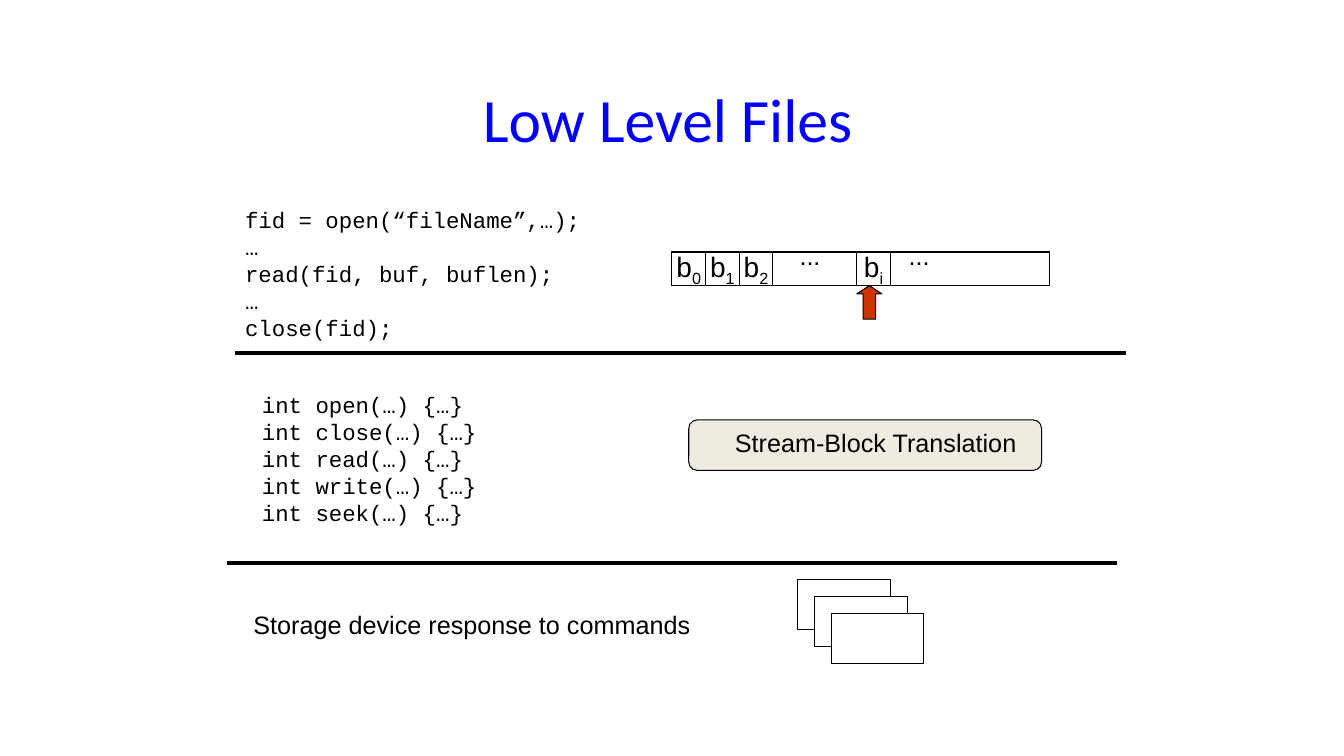
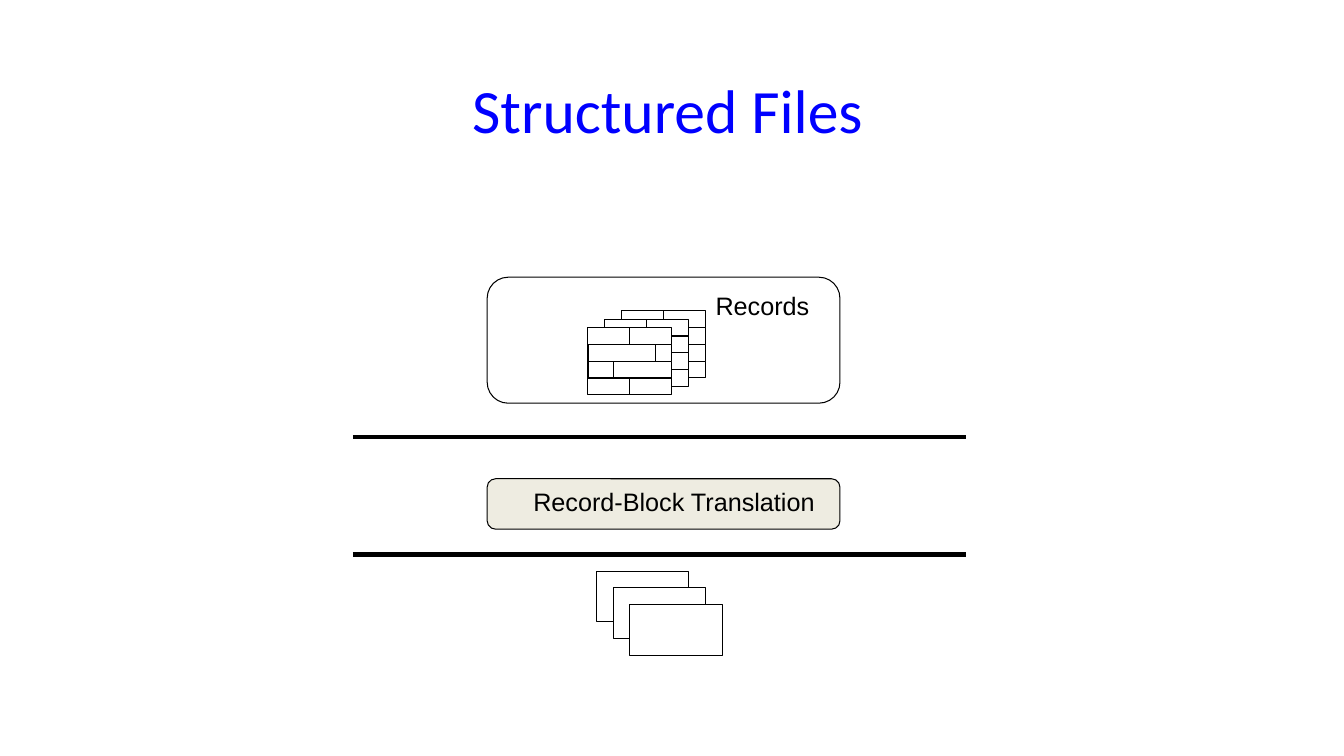
from dataclasses import dataclass

import pptx
import pptx.dml.color
import pptx.enum.shapes
import pptx.enum.text
import pptx.oxml
import pptx.util

Pt = pptx.util.Pt
SHAPE = pptx.enum.shapes.MSO_SHAPE
ALIGN = pptx.enum.text.PP_ALIGN
ANCHOR = pptx.enum.text.MSO_ANCHOR
AUTO = pptx.enum.text.MSO_AUTO_SIZE


@dataclass(frozen=True)
class Theme:
    title: str = "0000FF"
    ink: str = "000000"
    paper: str = "FFFFFF"
    layer: str = "EEECE1"
    marker: str = "CC3300"
    title_font: str = "Calibri"
    body_font: str = "Arial"
    code_font: str = "Courier New"
    title_size: int = 44
    cell_size: int = 20
    body_size: int = 18
    code_size: int = 16
    outline: float = 0.75
    divider: float = 3


THEME = Theme()
CELL = 24           # side of one byte cell
STEP = 12           # shift between stacked blocks
ROW = 12            # height of one record row
RECORD_WIDTH = 60
RECORD_SPLITS = (30, 48, 18, 30)


def rgb(value):
    return pptx.dml.color.RGBColor.from_string(value)


def write(s, text, sub="", font=THEME.body_font, size=THEME.body_size,
          color=THEME.ink, align=ALIGN.LEFT, anchor=ANCHOR.TOP, wrap=False):
    """Fill a shape with one paragraph per line, and an optional subscript."""
    tf = s.text_frame
    tf.word_wrap = wrap
    tf.vertical_anchor = anchor
    for i, line in enumerate(text.split("\n")):
        p = tf.paragraphs[0] if i == 0 else tf.add_paragraph()
        p.alignment = align
        for part, offset in ((line, None), (sub, "-25000")):
            if not part:
                continue
            r = p.add_run()
            r.text = part
            r.font.name = font
            r.font.size = Pt(size)
            r.font.color.rgb = rgb(color)
            if offset:
                r.font._element.set("baseline", offset)


def add_text(slide, x, y, w, h, text, **fmt):
    s = slide.shapes.add_textbox(Pt(x), Pt(y), Pt(w), Pt(h))
    write(s, text, **fmt)
    if not fmt.get("wrap"):
        s.text_frame.auto_size = AUTO.SHAPE_TO_FIT_TEXT
    return s


def add_box(parent, x, y, w, h, kind=SHAPE.RECTANGLE, fill=THEME.paper):
    """Add an outlined shape to a slide or a group."""
    s = parent.shapes.add_shape(kind, Pt(x), Pt(y), Pt(w), Pt(h))
    s.shadow.inherit = False
    s.fill.solid()
    s.fill.fore_color.rgb = rgb(fill)
    s.line.color.rgb = rgb(THEME.ink)
    s.line.width = Pt(THEME.outline)
    return s


def add_title(slide, text, h):
    add_text(slide, 174, 36, 606, h, text, font=THEME.title_font,
             size=THEME.title_size, color=THEME.title, align=ALIGN.CENTER,
             anchor=ANCHOR.MIDDLE, wrap=True)


def add_code(slide, x, y, w, h, text):
    add_text(slide, x, y, w, h, text, font=THEME.code_font,
             size=THEME.code_size)


def add_divider(slide, x, y, w):
    line = slide.shapes.add_connector(
        pptx.enum.shapes.MSO_CONNECTOR.STRAIGHT, Pt(x), Pt(y), Pt(x + w), Pt(y))
    line.line.color.rgb = rgb(THEME.ink)
    line.line.width = Pt(THEME.divider)
    line._element.spPr.append(pptx.oxml.parse_xml(
        '<a:effectLst xmlns:a='
        '"http://schemas.openxmlformats.org/drawingml/2006/main"/>'))


def add_translation_layer(slide, x, y, text):
    s = add_box(slide, x, y, 252, 36, SHAPE.ROUNDED_RECTANGLE, THEME.layer)
    s.text_frame.margin_left = Pt(31.2)
    write(s, text)


def add_block_stack(slide, x, y):
    for i in range(3):
        add_box(slide, x + i * STEP, y + i * STEP, 66, 36)


def add_byte_stream(slide, x, y):
    """Draw a row of byte cells with gaps and the current-position arrow."""
    add_box(slide, x, y, 270, CELL)
    current = x + 132
    for left, index in ((x, "0"), (x + CELL, "1"), (x + 2 * CELL, "2"),
                        (current, "i")):
        write(add_box(slide, left, y, CELL, CELL), "b", sub=index,
              size=THEME.cell_size, align=ALIGN.CENTER, anchor=ANCHOR.MIDDLE)
    for left in (x + 84, x + 162):
        add_text(slide, left, y - 12, 29.5, 29, "...")
    arrow = add_box(slide, current, y + CELL, 18, 24, SHAPE.UP_ARROW,
                    THEME.marker)
    arrow.adjustments[1] = 0.33


def add_record(slide, x, y):
    group = slide.shapes.add_group_shape()
    for i, split in enumerate(RECORD_SPLITS):
        top = y + i * ROW
        add_box(group, x, top, split, ROW)
        add_box(group, x + split, top, RECORD_WIDTH - split, ROW)


def add_records_panel(slide, x, y):
    add_box(slide, x, y, 252, 90, SHAPE.ROUNDED_RECTANGLE)
    for i in range(3):
        add_record(slide, x + 96 - i * STEP, y + 24 + i * STEP / 2)
    add_text(slide, x + 156, y + 6, 82, 29, "Records")


def build_low_level_files(slide):
    add_title(slide, "Low Level Files", 96)
    add_byte_stream(slide, 480, 180)
    add_translation_layer(slide, 492, 300, "Stream-Block Translation")
    add_block_stack(slide, 570, 414)
    add_divider(slide, 162, 402, 636)
    add_divider(slide, 168, 252, 636)
    add_code(slide, 168, 144, 255, 104,
             "fid = open(“fileName”,…);\n…\nread(fid, buf, buflen);\n…\n"
             "close(fid);")
    calls = ("open", "close", "read", "write", "seek")
    add_code(slide, 180, 276, 168, 104,
             "\n".join(f"int {name}(…) {{…}}" for name in calls))
    add_text(slide, 174, 432, 330, 29, "Storage device response to commands")


def build_structured_files(slide):
    add_title(slide, "Structured Files", 84)
    add_records_panel(slide, 348, 198)
    add_translation_layer(slide, 348, 342, "Record-Block Translation")
    add_block_stack(slide, 426, 408)
    for y in (396, 312):
        add_divider(slide, 252, y, 438)


def main():
    prs = pptx.Presentation()
    prs.slide_width, prs.slide_height = Pt(960), Pt(540)
    for build in (build_low_level_files, build_structured_files):
        build(prs.slides.add_slide(prs.slide_layouts[6]))
    prs.save("out.pptx")


if __name__ == "__main__":
    main()
